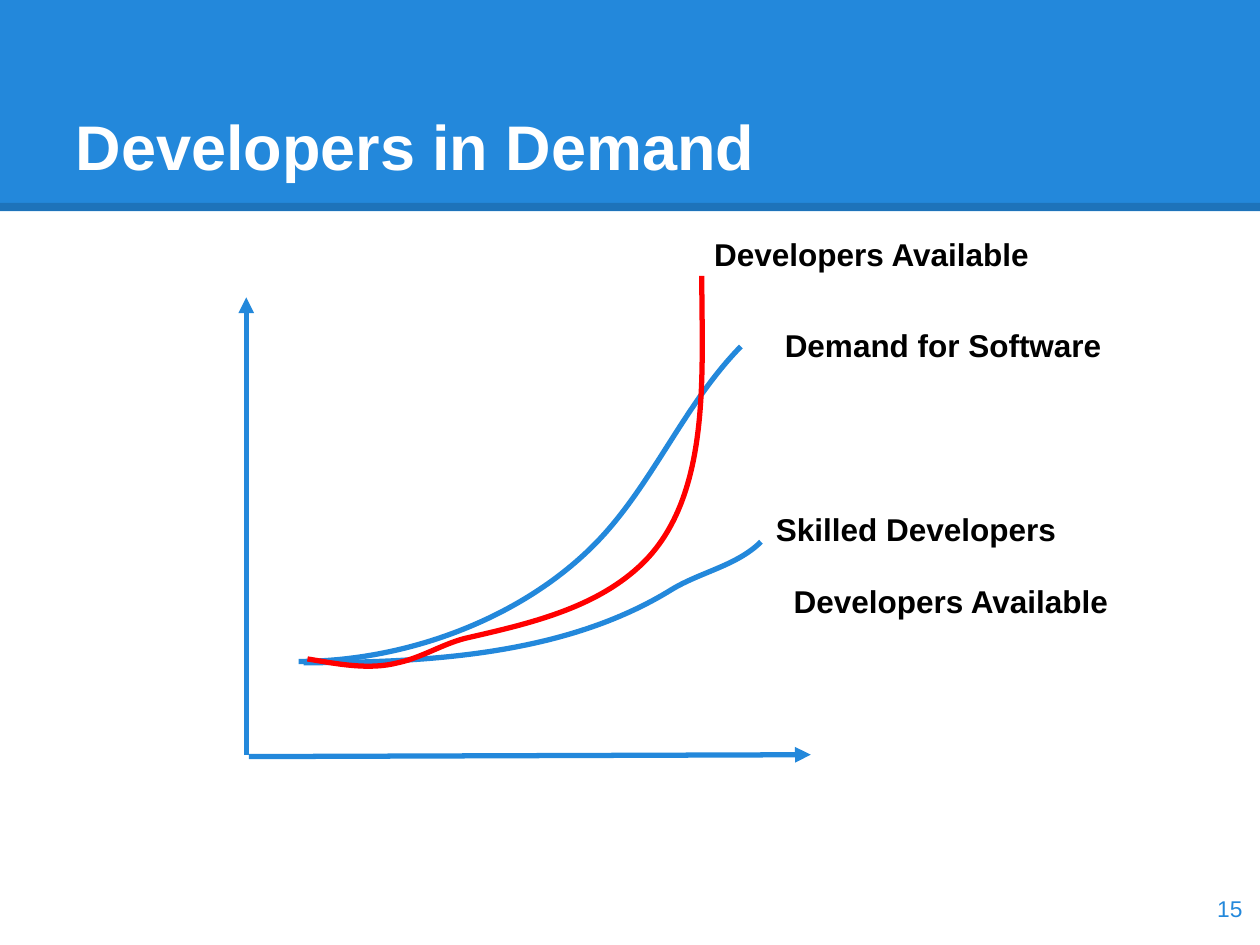
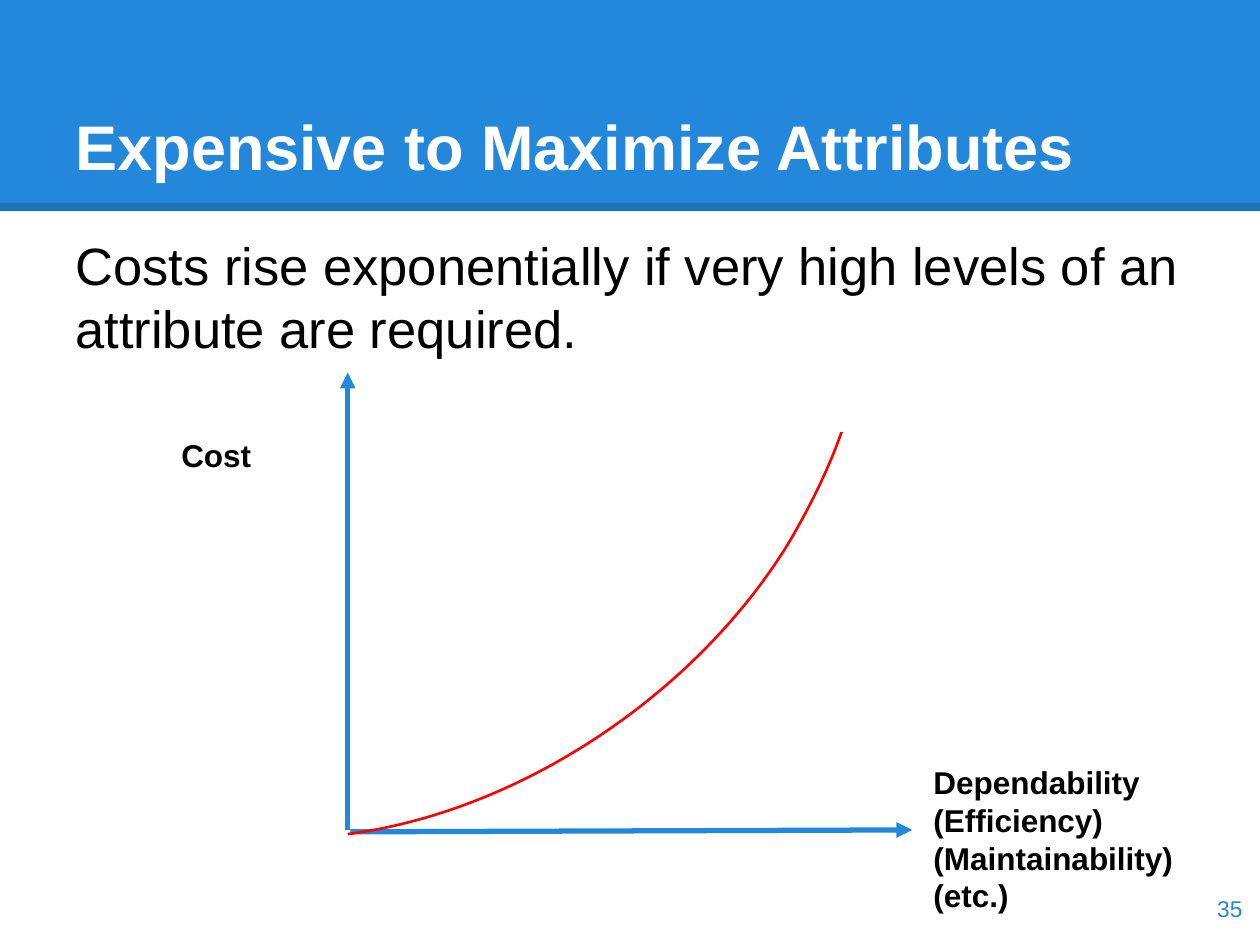
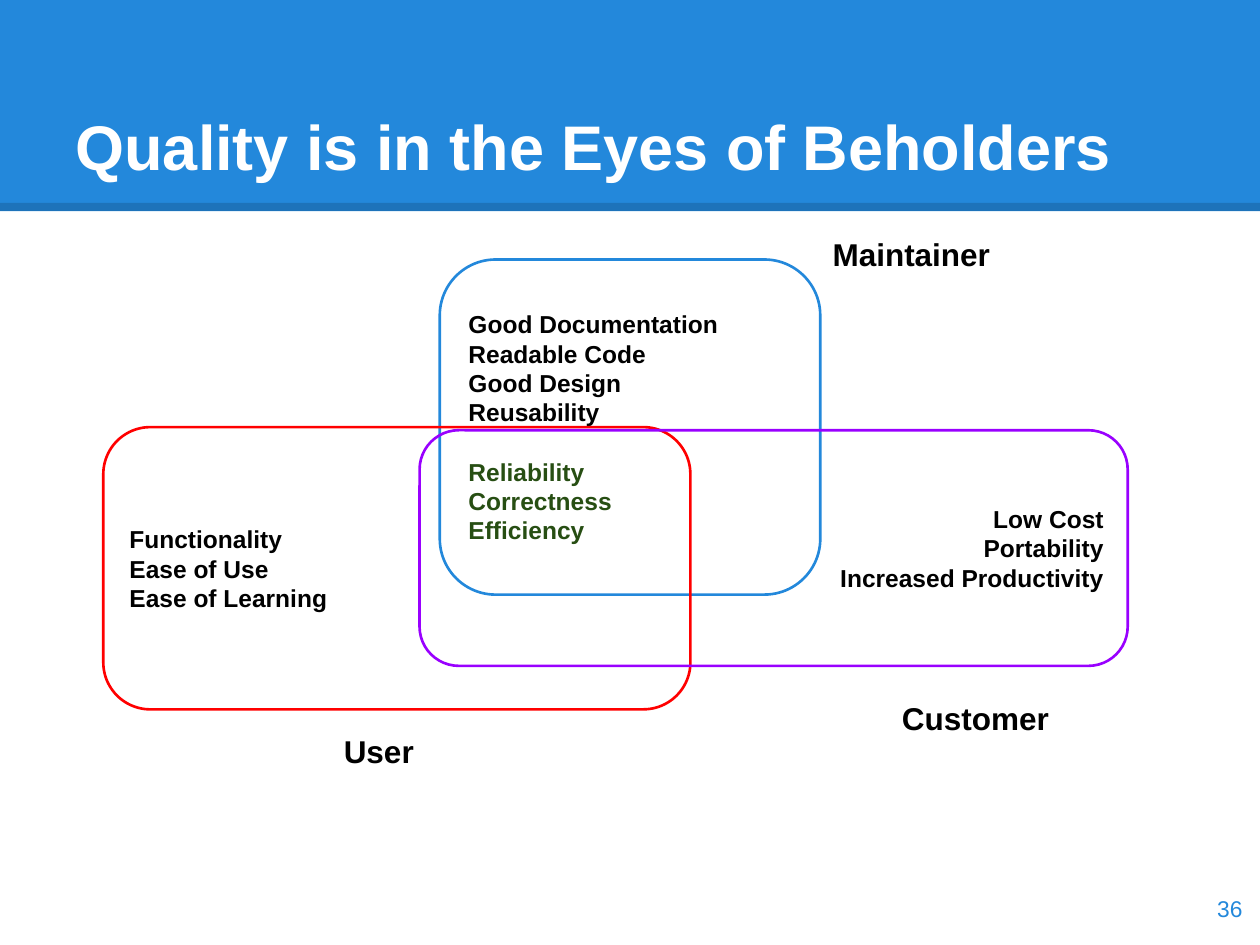
from dataclasses import dataclass
from pptx import Presentation
from pptx.dml.color import RGBColor
from pptx.enum.shapes import MSO_CONNECTOR as LINE, MSO_SHAPE as SHAPE
from pptx.enum.text import MSO_ANCHOR as ANCHOR, MSO_AUTO_SIZE as FIT, PP_ALIGN as ALIGN
from pptx.oxml.ns import qn
from pptx.oxml.xmlchemy import OxmlElement
from pptx.util import Inches, Pt


@dataclass(frozen=True)
class Theme:
    font: str = "Arial"
    blue: str = "2388DB"
    red: str = "FF0000"
    purple: str = "9900FF"
    green: str = "274E13"
    white: str = "FFFFFF"
    black: str = "000000"
    title: int = 36
    body: int = 30
    label: int = 18
    detail: int = 14
    number: int = 13
    thick: float = 3
    thin: float = 1.5
    edge: float = 4.5


theme = Theme()
deck = Presentation()
deck.slide_width, deck.slide_height = Inches(10), Inches(7.5)
columns = 100
cell = deck.slide_width / columns


def grid(*counts):
    return [round(count * cell) for count in counts]


def write(holder, lines, size, color=theme.black, bold=True, align=ALIGN.LEFT, anchor=ANCHOR.TOP):
    frame = holder.text_frame
    inset = grid(1)[0]
    layout = dict(word_wrap=True, auto_size=FIT.NONE, vertical_anchor=anchor, margin_left=inset,
                  margin_right=inset, margin_top=inset, margin_bottom=inset)
    for name, value in layout.items():
        setattr(frame, name, value)
    frame.text = "\n".join(lines)
    for para in frame.paragraphs:
        para.alignment, para.space_before = align, Pt(0)
        for span in para.runs:
            for name, value in dict(name=theme.font, size=Pt(size), bold=bold).items():
                setattr(span.font, name, value)
            span.font.color.rgb = RGBColor.from_string(color)
    return frame


title_and_body, title_only = deck.slide_layouts[1], deck.slide_layouts[5]
pages = []
for layout, heading, width, number in [
    (title_only, "Developers in Demand", 90, 15),
    (title_and_body, "Expensive to Maximize Attributes", 90, 35),
    (title_only, "Quality is in the Eyes of Beholders", 93.4, 36),
]:
    page = deck.slides.add_slide(layout)
    pages.append(page)
    title = page.shapes.title
    title.left, title.top, title.width, title.height = grid(5, 3, width, 12.5)
    write(title, [heading], theme.title, theme.white, anchor=ANCHOR.BOTTOM)
    box = page.shapes.add_textbox(*grid(93.6, 69.25, 6, 5.7))
    write(box, [str(number)], theme.number, theme.blue, False, ALIGN.RIGHT, ANCHOR.MIDDLE)
demand, cost, quality = pages

band = demand.shapes.add_shape(SHAPE.RECTANGLE, *grid(0, 0, columns, 16.75))
band.shadow.inherit = False
band.fill.solid()
band.fill.fore_color.rgb = RGBColor.from_string(theme.blue)
band.line.fill.background()
edge = demand.shapes.add_connector(LINE.STRAIGHT, *grid(0, 16.42, columns, 16.42))
edge.line.width = Pt(theme.edge)
edge.line.color.rgb = RGBColor.from_string(theme.black)
edge.element.spPr.append(OxmlElement("a:effectLst"))
alpha = OxmlElement("a:alpha")
alpha.set("val", "15000")
edge.element.spPr.find(".//" + qn("a:srgbClr")).append(alpha)
for order, part in enumerate([band, edge]):
    part.element.xpath(".//p:cNvPr")[0].set("id", str(20 + order))
    deck.slide_master.shapes.element.insert(2 + order, part.element)

body = cost.placeholders[1]
body.left, body.top, body.width, body.height = grid(5, 17.5, 90, 54.3)
frame = write(body, ["Costs rise exponentially if very high levels of an attribute are required."],
              theme.body, bold=False)
properties = frame.paragraphs[0]._p.get_or_add_pPr()
properties.set("marL", "0")
properties.set("indent", "0")
properties.append(OxmlElement("a:buNone"))

for page, left, base in [(demand, 19.55, 59.9), (cost, 27.6, 65.87)]:
    for ends in [(left, base, left, base - 36.3), (left + 0.2, base + 0.15, left + 44.8, base)]:
        axis = page.shapes.add_connector(LINE.STRAIGHT, *grid(*ends))
        axis.line.width = Pt(theme.thick)
        axis.line.color.rgb = RGBColor.from_string(theme.blue)
        arrow = OxmlElement("a:tailEnd")
        arrow.set("type", "triangle")
        axis.line._get_or_add_ln().append(arrow)
        axis.element.spPr.append(OxmlElement("a:effectLst"))

for page, color, weight, start, bends in [
    (demand, theme.blue, theme.thick, (23.7, 52.5), [
        [(32.1, 52.5), (41.2, 49.2), (47.1, 43.3)],
        [(51.7, 38.7), (54.2, 32.2), (58.8, 27.5)]]),
    (demand, theme.blue, theme.thick, (24.1, 52.6), [
        [(34, 52.6), (44.9, 52), (53.3, 46.8)],
        [(55.6, 45.4), (58.5, 44.9), (60.4, 43)]]),
    (demand, theme.red, theme.thick, (24.4, 52.3), [
        [(26.8, 52.7), (29.3, 53.2), (31.6, 52.6)],
        [(33.5, 52.2), (35.3, 51), (37.2, 50.6)],
        [(42, 49.5), (47.1, 48.3), (50.7, 45)],
        [(56.5, 39.7), (55.7, 29.8), (55.7, 21.9)]]),
    (cost, theme.red, theme.thin, (27.6, 66.2), [
        [(41.4, 64.4), (55.3, 55), (62.6, 43.1)],
        [(64.3, 40.2), (65.8, 37.2), (66.9, 34)],
        [(67.4, 32.7), (67.3, 31.2), (67.9, 29.9)]]),
]:
    outline = page.shapes.build_freeform(*grid(*start))
    outline.add_line_segments([grid(*point) for bend in bends for point in bend], close=False)
    curve = outline.convert_to_shape()
    trace = curve.element.spPr.find(".//" + qn("a:path"))
    strokes = trace.findall(qn("a:lnTo"))
    for first in range(0, len(strokes), 3):
        cubic = OxmlElement("a:cubicBezTo")
        for stroke in strokes[first:first + 3]:
            cubic.append(stroke[0])
            trace.remove(stroke)
        trace.append(cubic)
    curve.shadow.inherit = False
    curve.fill.background()
    curve.line.width = Pt(weight)
    curve.line.color.rgb = RGBColor.from_string(color)

cover = cost.shapes.add_shape(SHAPE.RECTANGLE, *grid(66.2, 27.6, 8.3, 6.6))
cover.shadow.inherit = False
cover.fill.solid()
cover.fill.fore_color.rgb = RGBColor.from_string(theme.white)
cover.line.width = Pt(theme.thin)
cover.line.color.rgb = RGBColor.from_string(theme.white)

for place, color, align, lines in [
    ((34.9, 20.6, 30.2, 26.6), theme.blue, ALIGN.LEFT,
     ["Good Documentation", "Readable Code", "Good Design", "Reusability",
      "Reliability", "Correctness", "Efficiency"]),
    ((8.2, 33.9, 46.6, 22.4), theme.red, ALIGN.LEFT,
     ["Functionality", "Ease of Use", "Ease of Learning"]),
    ((33.3, 34.15, 56.2, 18.7), theme.purple, ALIGN.RIGHT,
     ["Low Cost", "Portability", "Increased Productivity"]),
]:
    view = quality.shapes.add_shape(SHAPE.ROUNDED_RECTANGLE, *grid(*place))
    view.shadow.inherit = False
    view.fill.background()
    view.line.width = Pt(theme.thin)
    view.line.color.rgb = RGBColor.from_string(color)
    frame = write(view, lines, theme.detail, align=align, anchor=ANCHOR.MIDDLE)
    shared = frame.paragraphs[4:]
    for para in shared:
        para.runs[0].font.color.rgb = RGBColor.from_string(theme.green)
    if shared:
        shared[0].space_before = Pt(17)

for page, place, lines in [
    (demand, (61.3, 24.9, 31.5, 7.8), ["Demand for Software"]),
    (demand, (62, 45.2, 31.5, 7.8), ["Developers Available"]),
    (demand, (55.7, 17.65, 31.5, 7.8), ["Developers Available"]),
    (demand, (60.6, 39.5, 31.5, 7.8), ["Skilled Developers"]),
    (cost, (13.4, 33.6, 16.1, 7.8), ["Cost"]),
    (cost, (73.1, 59.55, 25.3, 7.8),
     ["Dependability", "(Efficiency)", "(Maintainability)", "(etc.)"]),
    (quality, (26.3, 57.1, 21.2, 5.6), ["User"]),
    (quality, (70.6, 54.45, 21.2, 5.6), ["Customer"]),
    (quality, (65.1, 17.65, 21.2, 5.6), ["Maintainer"]),
]:
    write(page.shapes.add_textbox(*grid(*place)), lines, theme.label)

deck.save("out.pptx")
